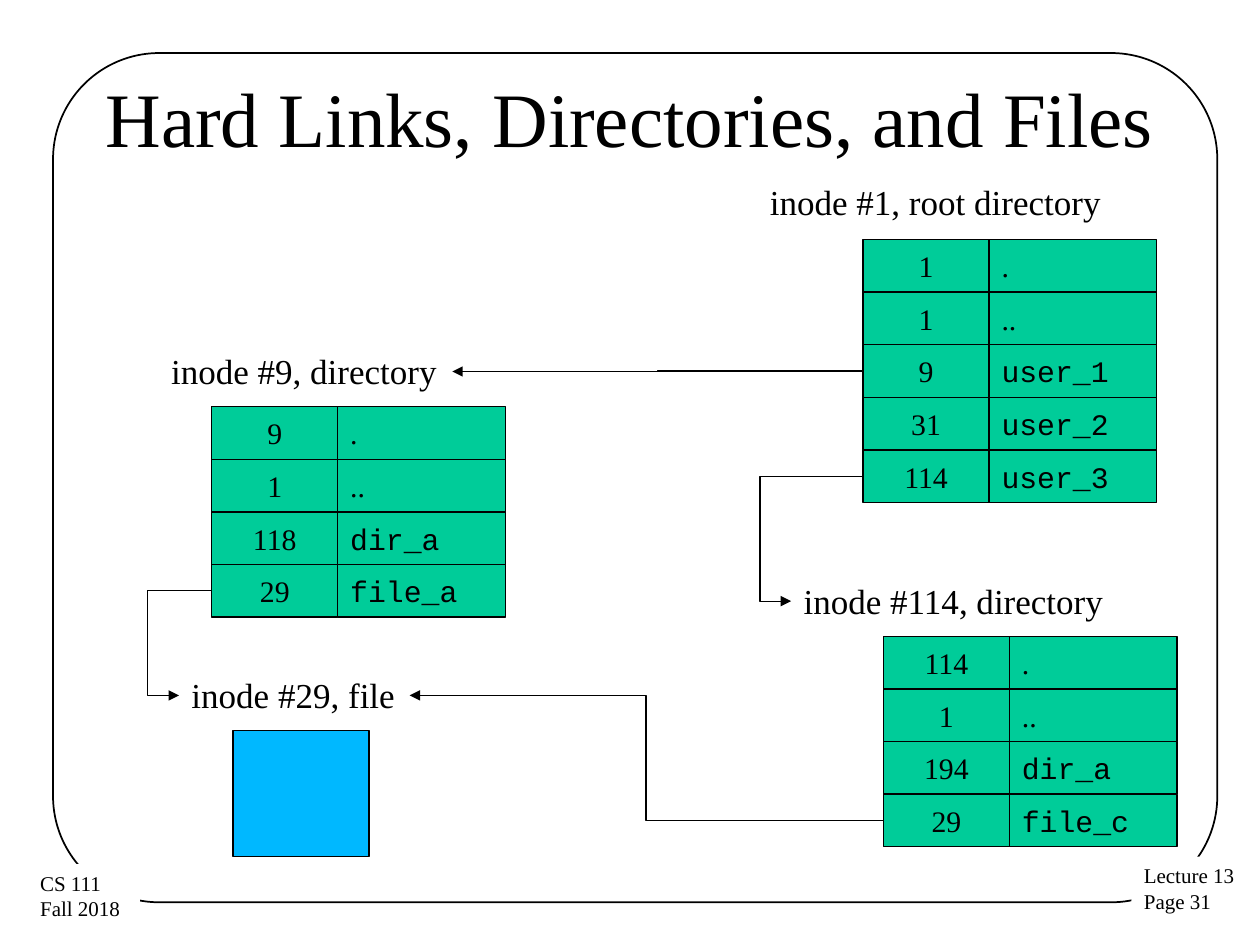
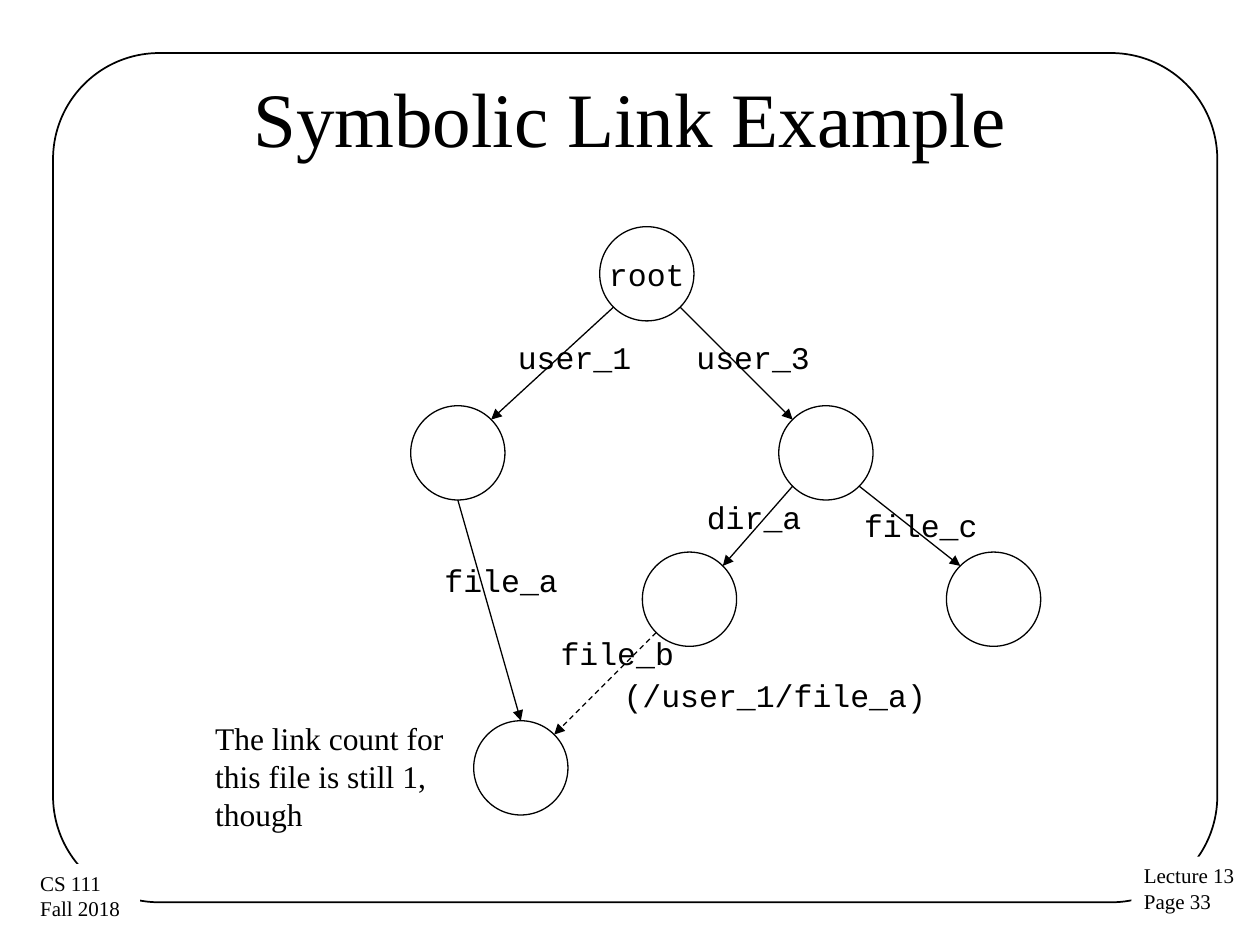
"""Two lecture slides on hard links and symbolic links in a file system."""
import math

import lxml.etree
import pptx
import pptx.dml.color
import pptx.enum.dml
import pptx.enum.shapes
import pptx.enum.text
import pptx.oxml.ns
import pptx.util

Cm = pptx.util.Cm
SHAPES = pptx.enum.shapes.MSO_SHAPE
CONNECTORS = pptx.enum.shapes.MSO_CONNECTOR
ALIGN = pptx.enum.text.PP_ALIGN
ANCHOR = pptx.enum.text.MSO_ANCHOR
AUTO_SIZE = pptx.enum.text.MSO_AUTO_SIZE

BLACK = pptx.dml.color.RGBColor(0x00, 0x00, 0x00)
WHITE = pptx.dml.color.RGBColor(0xFF, 0xFF, 0xFF)
GREEN = pptx.dml.color.RGBColor(0x00, 0xCC, 0x99)
BLUE = pptx.dml.color.RGBColor(0x00, 0xB8, 0xFF)

SERIF = "Times New Roman"
MONO = "Courier New"

# Sizes in centimetres
NUMBER_WIDTH, NAME_WIDTH, ROW_HEIGHT = 2.54, 3.38, 1.06
INODE_LABEL_HEIGHT = 1.12
NODE_SIZE = 1.9
LEFT_SITE, RIGHT_SITE = 1, 3


def write_text(shape, lines, font=SERIF, size=18, align=ALIGN.LEFT,
               anchor=ANCHOR.TOP, wrap=False, grow=False):
    """Fill a shape with one paragraph per line, all in one format."""
    frame = shape.text_frame
    frame.word_wrap = wrap
    frame.vertical_anchor = anchor
    if grow:
        frame.auto_size = AUTO_SIZE.SHAPE_TO_FIT_TEXT
    for index, line in enumerate(lines):
        paragraph = frame.add_paragraph() if index else frame.paragraphs[0]
        paragraph.alignment = align
        run = paragraph.add_run()
        run.text = line
        run.font.name = font
        run.font.size = pptx.util.Pt(size)
        run.font.color.rgb = BLACK


class Lecture:
    """Holds the lecture style and the slide being drawn."""

    def __init__(self):
        """Start an empty 4:3 presentation."""
        self.deck = pptx.Presentation()
        self.deck.slide_width, self.deck.slide_height = Cm(25.4), Cm(19.05)
        self.slide = None

    def new_slide(self, title, page):
        """Add a slide with the frame, both footers and the title."""
        self.slide = self.deck.slides.add_slide(self.deck.slide_layouts[6])
        frame = self.shape(SHAPES.ROUNDED_RECTANGLE,
                           1.07, 1.07, 23.47, 17.12, line_width=1)
        frame.adjustments[0] = 0.125
        self.footer(22.81, 17.27, 2.36, ["Lecture 13", f"Page {page}"])
        self.footer(0.56, 17.42, 2.26, ["CS 111", "Fall 2018 "])
        self.label(1.27, 0.76, 22.86, 3.18, title, size=44, wrap=True,
                   align=ALIGN.CENTER, anchor=ANCHOR.MIDDLE)

    def shape(self, kind, left, top, width, height, fill=None,
              line_width=0.75):
        """Add a preset shape; no fill or no line when it is None."""
        shape = self.slide.shapes.add_shape(
            kind, Cm(left), Cm(top), Cm(width), Cm(height))
        shape.shadow.inherit = False
        if fill is None:
            shape.fill.background()
        else:
            shape.fill.solid()
            shape.fill.fore_color.rgb = fill
        if line_width is None:
            shape.line.fill.background()
        else:
            shape.line.color.rgb = BLACK
            shape.line.width = pptx.util.Pt(line_width)
        return shape

    def footer(self, left, top, width, lines):
        """Add a white corner patch that interrupts the frame."""
        patch = self.shape(SHAPES.RECTANGLE, left, top, width, 1.3,
                           fill=WHITE, line_width=None)
        write_text(patch, lines, size=12, grow=True)

    def label(self, left, top, width, height, text, **text_format):
        """Add a text box."""
        box = self.slide.shapes.add_textbox(
            Cm(left), Cm(top), Cm(width), Cm(height))
        write_text(box, [text], **text_format)
        return box

    def inode_label(self, left, top, width, text):
        """Add the caption of an inode."""
        return self.label(left, top, width, INODE_LABEL_HEIGHT, text,
                          size=20, grow=True)

    def directory(self, left, top, entries):
        """Add rows of inode number and name; return the number cells."""
        number_cells = []
        for row, (number, name) in enumerate(entries):
            y = top + row * ROW_HEIGHT
            name_cell = self.shape(SHAPES.RECTANGLE, left + NUMBER_WIDTH, y,
                                   NAME_WIDTH, ROW_HEIGHT, fill=GREEN)
            write_text(name_cell, [name], size=17, anchor=ANCHOR.MIDDLE,
                       font=SERIF if name.startswith(".") else MONO)
            number_cell = self.shape(SHAPES.RECTANGLE, left, y,
                                     NUMBER_WIDTH, ROW_HEIGHT, fill=GREEN)
            write_text(number_cell, [str(number)], size=17,
                       align=ALIGN.CENTER, anchor=ANCHOR.MIDDLE)
            number_cells.append(number_cell)
        return number_cells

    def node(self, left, top, text=None, fill=None):
        """Add a circle of the file tree."""
        circle = self.shape(SHAPES.OVAL, left, top, NODE_SIZE, NODE_SIZE,
                            fill=fill)
        if text:
            write_text(circle, [text], font=MONO, align=ALIGN.CENTER,
                       anchor=ANCHOR.MIDDLE)

    def style_arrow(self, arrow, dashed=False):
        """Give a connector its thin line and arrowhead, and no shadow."""
        arrow.line.color.rgb = BLACK
        arrow.line.width = pptx.util.Pt(0.75)
        if dashed:
            arrow.line.dash_style = pptx.enum.dml.MSO_LINE.DASH
        qn = pptx.oxml.ns.qn
        properties = arrow.element.spPr
        lxml.etree.SubElement(properties.find(qn("a:ln")), qn("a:tailEnd"),
                              type="triangle")
        lxml.etree.SubElement(properties, qn("a:effectLst"))

    def arrow(self, start, end, dashed=False):
        """Add a straight arrow between two points."""
        arrow = self.slide.shapes.add_connector(
            CONNECTORS.STRAIGHT, *(Cm(value) for value in (*start, *end)))
        self.style_arrow(arrow, dashed)

    def link(self, cell, target, site, bend):
        """Add an elbow arrow from a cell to a caption, turning at x = bend."""
        arrow = self.slide.shapes.add_connector(CONNECTORS.ELBOW, 0, 0, 0, 0)
        arrow.begin_connect(cell, LEFT_SITE)
        arrow.end_connect(target, site)
        share = (arrow.begin_x - Cm(bend)) / (arrow.begin_x - arrow.end_x)
        qn = pptx.oxml.ns.qn
        guides = arrow.element.spPr.find(qn("a:prstGeom")).find(qn("a:avLst"))
        lxml.etree.SubElement(guides, qn("a:gd"), name="adj1",
                              fmla=f"val {round(share * 100000)}")
        self.style_arrow(arrow)


def hard_links(lecture):
    """Draw the directories whose entries point to inodes."""
    lecture.new_slide("Hard Links, Directories, and Files", 31)
    lecture.inode_label(15.27, 3.51, 7.24, "inode #1, root directory")
    user_1 = lecture.inode_label(3.2, 6.93, 5.92, "inode #9, directory")
    user_3 = lecture.inode_label(15.95, 11.56, 6.6, "inode #114, directory")
    shared_file = lecture.inode_label(3.61, 13.46, 4.65, "inode #29, file")
    lecture.shape(SHAPES.RECTANGLE, 4.7, 14.73, 2.74, 2.54, fill=BLUE)

    root_cells = lecture.directory(17.4, 4.83, [
        (1, "."), (1, ".."), (9, "user_1"), (31, "user_2"), (114, "user_3")])
    user_1_cells = lecture.directory(4.27, 8.2, [
        (9, "."), (1, ".."), (118, "dir_a"), (29, "file_a")])
    user_3_cells = lecture.directory(17.81, 12.83, [
        (114, "."), (1, ".."), (194, "dir_a"), (29, "file_c")])

    lecture.link(root_cells[2], user_1, RIGHT_SITE, bend=13.26)
    lecture.link(root_cells[4], user_3, LEFT_SITE, bend=15.32)
    lecture.link(user_1_cells[3], shared_file, LEFT_SITE, bend=2.97)
    lecture.link(user_3_cells[3], shared_file, RIGHT_SITE, bend=13.03)


def rim_point(corner, direction):
    """Return the point on a node's rim in a direction from its centre."""
    radius = NODE_SIZE / 2
    length = math.hypot(*direction)
    return [start + radius + radius * step / length
            for start, step in zip(corner, direction)]


def symbolic_link(lecture):
    """Draw the file tree with one symbolic link."""
    lecture.new_slide("Symbolic Link Example", 33)
    nodes = {"root": (12.09, 4.57), "user_1": (8.28, 8.18),
             "user_3": (15.7, 8.18), "file_c": (19.08, 11.13),
             "file_a": (9.55, 14.53), "dir_a": (12.95, 11.13)}
    for name, corner in nodes.items():
        if name != "dir_a":
            lecture.node(*corner, text="root" if name == "root" else None)

    down, down_left, down_right = (0, 1), (-1, 1), (1, 1)
    edges = [("root", "user_1", down_left), ("root", "user_3", down_right),
             ("user_3", "dir_a", down_left), ("user_3", "file_c", down_right),
             ("user_1", "file_a", down), ("dir_a", "file_a", down_left)]
    for parent, child, (across, along) in edges:
        lecture.arrow(rim_point(nodes[parent], (across, along)),
                      rim_point(nodes[child], (-across, -along)),
                      dashed=parent == "dir_a")

    edge_names = [("user_1", 10.19, 6.68), ("user_3", 13.79, 6.68),
                  ("dir_a", 14, 9.91), ("file_c", 17.17, 10.08),
                  ("file_a", 8.71, 11.18), ("file_b", 11.05, 12.65)]
    for name, left, top in edge_names:
        lecture.label(left, top, 2.97, 1.02, name, font=MONO, wrap=True,
                      grow=True)
    lecture.label(12.32, 13.51, 7.42, 1.02, "(/user_1/file_a)", font=MONO,
                  wrap=True, grow=True)

    # This node covers the start of the symbolic link
    lecture.node(*nodes["dir_a"], fill=WHITE)
    lecture.label(4.09, 14.38, 6.15, 2.57,
                  "The link count for this file is still 1, though",
                  wrap=True, grow=True)


def main():
    """Build both slides and save them."""
    lecture = Lecture()
    hard_links(lecture)
    symbolic_link(lecture)
    lecture.deck.save("out.pptx")


main()
